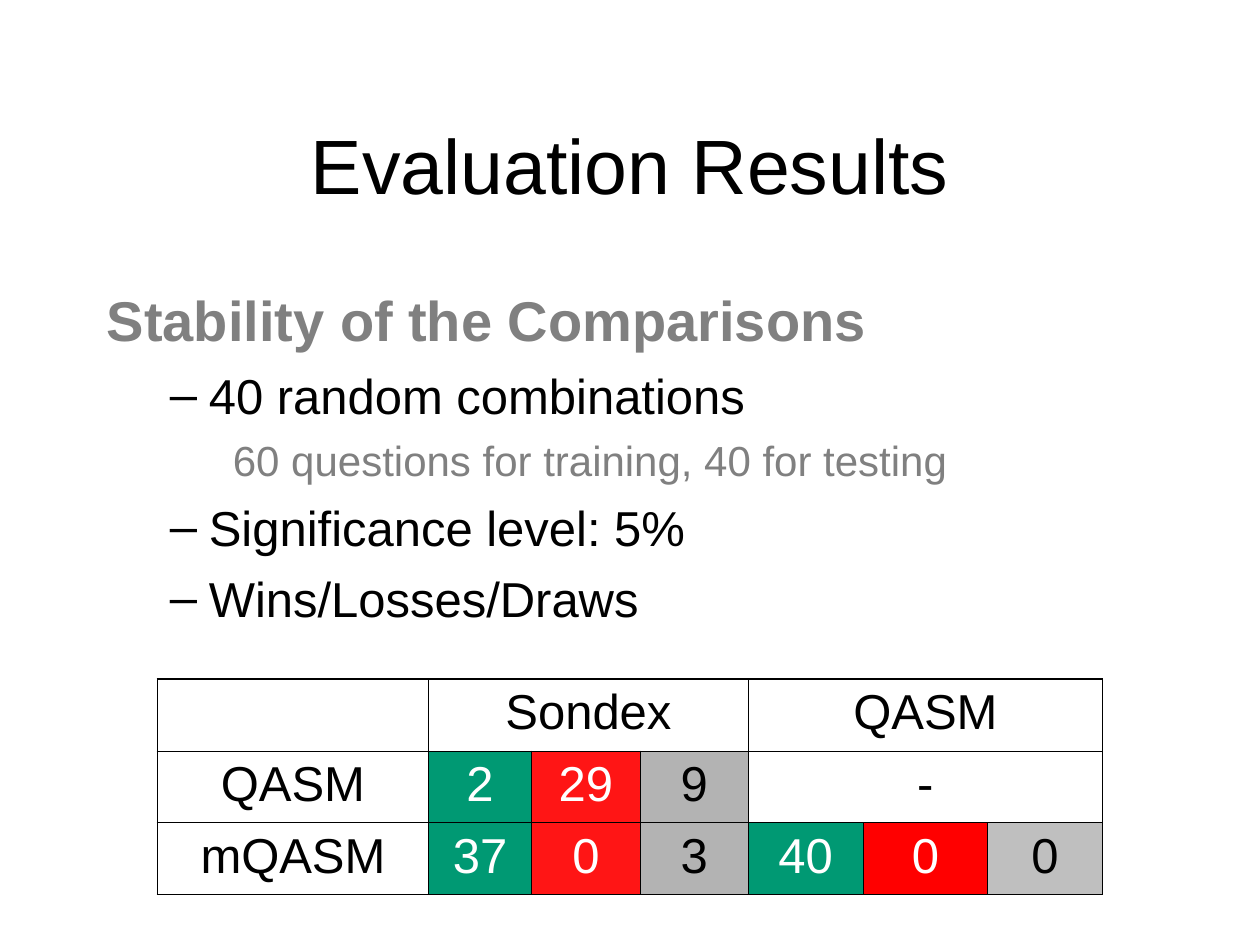
"""Builds the evaluation results slide with its wins, losses and draws table."""
from dataclasses import dataclass

from lxml import etree
from pptx import Presentation
from pptx.dml.color import RGBColor
from pptx.enum.text import MSO_ANCHOR, PP_ALIGN
from pptx.oxml.ns import qn
from pptx.util import Inches, Pt

CENTER = PP_ALIGN.CENTER
MIDDLE = MSO_ANCHOR.MIDDLE
FONT = "Arial"
COLORS = {
    "black": "000000",
    "white": "FFFFFF",
    "muted": "808080",
    "win": "009973",
    "loss": "FF1515",
    "draw": "B3B3B3",
    "total loss": "FF0000",
    "no draw": "BFBFBF",
}
OUTER_BORDER, INNER_BORDER = 1.08, 0.45
COLUMN_WIDTHS = (2.15, 0.82, 0.86, 0.86, 0.91, 0.99, 0.91)
ROW_HEIGHT = 0.57
ROW_COUNT = 3


@dataclass(frozen=True)
class Level:
    size: int
    color: str
    margin: float
    indent: float
    space_before: int
    bold: bool = False
    bullet: str = ""


@dataclass(frozen=True)
class Entry:
    row: int
    column: int
    text: str
    span: int = 1
    fill: str = ""
    color: str = "black"


HEADING = Level(32, "muted", 0.38, -0.38, 0, bold=True)
POINT = Level(28, "black", 0.81, -0.31, 7, bullet="–")
DETAIL = Level(24, "muted", 1.25, -0.25, 6)

OUTLINE = (
    (HEADING, "Stability of the Comparisons"),
    (POINT, "40 random combinations"),
    (DETAIL, "60 questions for training, 40 for testing"),
    (POINT, "Significance level: 5%"),
    (POINT, "Wins/Losses/Draws"),
)
ENTRIES = (
    Entry(0, 1, "Sondex", span=3),
    Entry(0, 4, "QASM", span=3),
    Entry(1, 0, "QASM"),
    Entry(1, 1, "2", fill="win", color="white"),
    Entry(1, 2, "29", fill="loss", color="white"),
    Entry(1, 3, "9", fill="draw"),
    Entry(1, 4, "-", span=3),
    Entry(2, 0, "mQASM"),
    Entry(2, 1, "37", fill="win", color="white"),
    Entry(2, 2, "0", fill="loss", color="white"),
    Entry(2, 3, "3", fill="draw"),
    Entry(2, 4, "40", fill="win", color="white"),
    Entry(2, 5, "0", fill="total loss", color="white"),
    Entry(2, 6, "0", fill="no draw"),
)


def rgb(name: str) -> RGBColor:
    return RGBColor.from_string(COLORS[name])


def add_run(paragraph, text: str, size: int, color: str, bold: bool = False) -> None:
    run = paragraph.add_run()
    run.text = text
    run.font.name = FONT
    run.font.size = Pt(size)
    run.font.bold = bold
    run.font.color.rgb = rgb(color)


def add_frame(slide, left: float, top: float, width: float, height: float):
    frame = slide.shapes.add_textbox(
        Inches(left), Inches(top), Inches(width), Inches(height)
    ).text_frame
    frame.word_wrap = True
    return frame


def add_title(slide, text: str) -> None:
    frame = add_frame(slide, 0.75, 0.67, 8.5, 1.25)
    frame.vertical_anchor = MIDDLE
    heading = frame.paragraphs[0]
    heading.alignment = CENTER
    add_run(heading, text, 44, "black")


def format_level(paragraph, level: Level) -> None:
    properties = paragraph._p.get_or_add_pPr()
    properties.set("marL", str(Inches(level.margin)))
    properties.set("indent", str(Inches(level.indent)))
    if level.space_before:
        paragraph.space_before = Pt(level.space_before)
    if level.bullet:
        bullet_color = etree.SubElement(properties, qn("a:buClr"))
        etree.SubElement(bullet_color, qn("a:srgbClr"), val=COLORS["black"])
        etree.SubElement(properties, qn("a:buFont"), typeface=FONT)
        etree.SubElement(properties, qn("a:buChar"), char=level.bullet)
    else:
        etree.SubElement(properties, qn("a:buNone"))


def add_outline(slide) -> None:
    frame = add_frame(slide, 0.75, 2.17, 8.5, 2.83)
    frame.margin_top = Inches(0.1)
    for index, (level, text) in enumerate(OUTLINE):
        paragraph = frame.add_paragraph() if index else frame.paragraphs[0]
        format_level(paragraph, level)
        add_run(paragraph, text, level.size, level.color, level.bold)


def set_borders(cell, row: int, column: int) -> None:
    outer_edges = {
        "a:lnL": column == 0,
        "a:lnR": column == len(COLUMN_WIDTHS) - 1,
        "a:lnT": row == 0,
        "a:lnB": row == ROW_COUNT - 1,
    }
    properties = cell._tc.get_or_add_tcPr()
    for position, (edge, is_outer) in enumerate(outer_edges.items()):
        width = Pt(OUTER_BORDER if is_outer else INNER_BORDER)
        line = etree.Element(qn(edge), w=str(width))
        fill = etree.SubElement(line, qn("a:solidFill"))
        etree.SubElement(fill, qn("a:srgbClr"), val=COLORS["black"])
        properties.insert(position, line)


def fill_entry(table, entry: Entry) -> None:
    cell = table.cell(entry.row, entry.column)
    if entry.span > 1:
        cell.merge(table.cell(entry.row, entry.column + entry.span - 1))
    if entry.fill:
        cell.fill.solid()
        cell.fill.fore_color.rgb = rgb(entry.fill)
    paragraph = cell.text_frame.paragraphs[0]
    paragraph.alignment = CENTER
    add_run(paragraph, entry.text, 28, entry.color)


def add_results(slide) -> None:
    table = slide.shapes.add_table(
        ROW_COUNT, len(COLUMN_WIDTHS), Inches(1.25), Inches(5.39),
        Inches(sum(COLUMN_WIDTHS)), Inches(ROW_COUNT * ROW_HEIGHT),
    ).table
    table.first_row = False
    table.horz_banding = False
    for column, width in zip(table.columns, COLUMN_WIDTHS):
        column.width = Inches(width)
    for row_index, row in enumerate(table.rows):
        row.height = Inches(ROW_HEIGHT)
        for column_index, cell in enumerate(row.cells):
            cell.fill.background()
            set_borders(cell, row_index, column_index)
    for entry in ENTRIES:
        fill_entry(table, entry)


def main() -> None:
    presentation = Presentation()
    presentation.slide_width = Inches(10)
    presentation.slide_height = Inches(7.5)
    slide = presentation.slides.add_slide(presentation.slide_layouts[6])
    add_title(slide, "Evaluation Results")
    add_outline(slide)
    add_results(slide)
    presentation.save("out.pptx")


if __name__ == "__main__":
    main()
